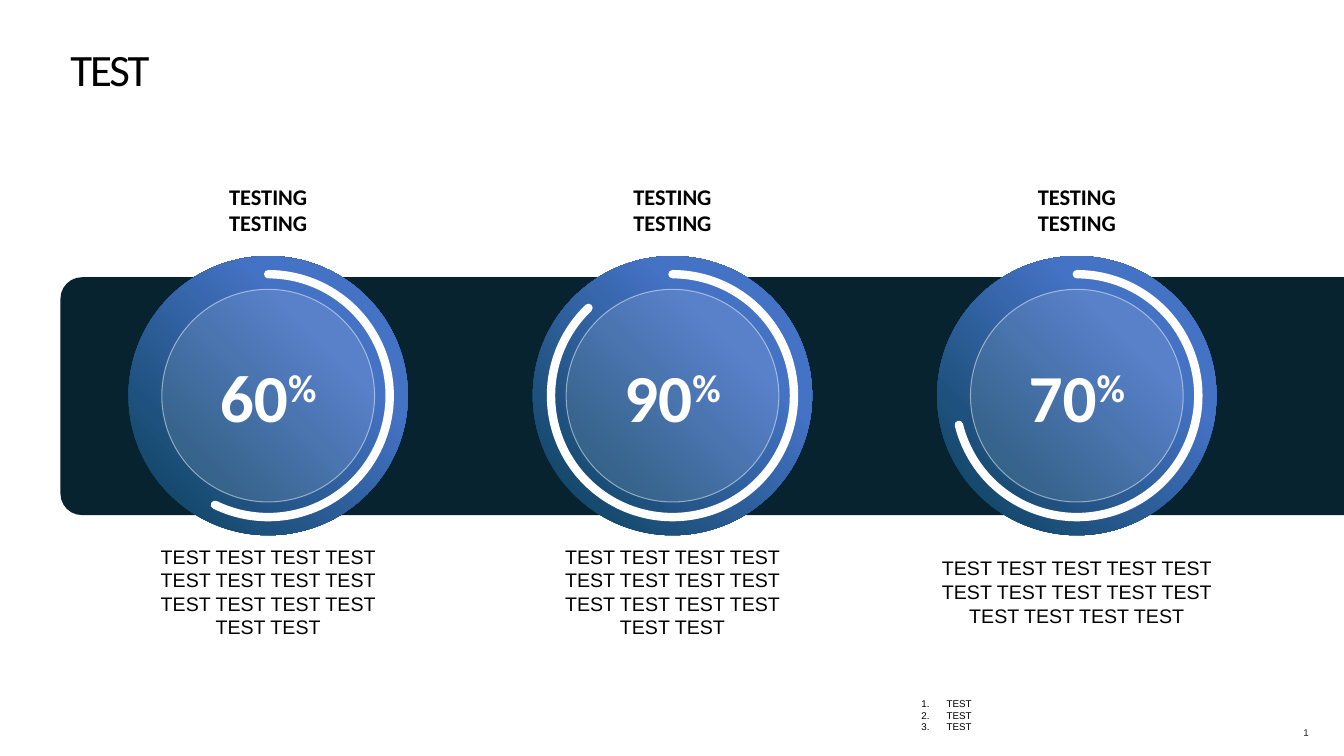
from dataclasses import dataclass

from lxml.etree import SubElement
from pptx import Presentation
from pptx.dml.color import RGBColor
from pptx.enum.shapes import MSO_SHAPE as Preset
from pptx.enum.text import MSO_ANCHOR as Anchor, PP_ALIGN as Align
from pptx.oxml.ns import qn
from pptx.util import Inches, Pt


@dataclass(frozen=True)
class Theme:
    """Colours, fonts and type sizes of the slide."""
    ink: str = "000000"
    page_ink: str = "262626"
    white: str = "FFFFFF"
    band: str = "072330"
    dial_dark: str = "124667"
    dial_light: str = "4472C4"
    display: str = "Calibri"
    body: str = "Arial"
    title_size: int = 32
    value_size: int = 48
    heading_size: int = 16
    body_size: int = 14
    note_size: int = 7


@dataclass(frozen=True)
class Metric:
    """One dial with its heading, value, arc end in degrees and description."""
    heading: tuple
    value: str
    arc_end: float
    description: str
    description_width: float


THEME = Theme()
HEADING = ("TESTING", "TESTING")
DESCRIPTION = " ".join(["TEST"] * 14)
METRICS = (
    Metric(HEADING, "60", 116, DESCRIPTION, 2.5),
    Metric(HEADING, "90", 226.26, DESCRIPTION, 2.5),
    Metric(HEADING, "70", 166.1, DESCRIPTION, 3.05),
)


def rgb(colour):
    """Turn a hex colour into a python-pptx colour."""
    return RGBColor.from_string(colour)


def set_alpha(fill, percent):
    """Make a solid fill partly transparent."""
    colour = fill._xPr.find(qn("a:solidFill"))[0]
    SubElement(colour, qn("a:alpha"), val=str(percent * 1000))


def style(paragraph, face, size, colour, bold=False, align=Align.LEFT):
    """Set the font and alignment of a paragraph."""
    paragraph.alignment = align
    font = paragraph.font
    font.name, font.size, font.bold = face, Pt(size), bold
    font.color.rgb = rgb(colour)


def add_text(slide, box, lines, face, size, colour=THEME.ink, bold=False,
             align=Align.LEFT, anchor=Anchor.TOP):
    """Add a text box with one paragraph per line and return its paragraphs."""
    frame = slide.shapes.add_textbox(*map(Inches, box)).text_frame
    frame.word_wrap = True
    frame.vertical_anchor = anchor
    frame.text = "\n".join(lines)
    for paragraph in frame.paragraphs:
        style(paragraph, face, size, colour, bold, align)
    return frame.paragraphs


def add_preset(slide, preset, box):
    """Add a preset shape without shadow, fill or line."""
    shape = slide.shapes.add_shape(preset, *map(Inches, box))
    shape.shadow.inherit = False
    shape.fill.background()
    shape.line.fill.background()
    return shape


def add_band(slide, box):
    """Add the dark band, rounded at its left end."""
    left, top, width, height = box
    turned = (left + (width - height) / 2, top + (height - width) / 2, height, width)
    band = add_preset(slide, Preset.ROUND_2_SAME_RECTANGLE, turned)
    band.rotation = 270
    band.adjustments[0] = 0.09
    band.fill.solid()
    band.fill.fore_color.rgb = rgb(THEME.band)


def add_title(slide, box, wording):
    """Add the slide title with tight letter spacing."""
    title, = add_text(slide, box, [wording], THEME.display, THEME.title_size)
    title.line_spacing = 0.8
    title.runs[0].font._rPr.set("spc", "-150")


def add_dial(slide, box, value, arc_end):
    """Add a gradient disc with a progress arc and a percentage."""
    left, top, size, _ = box

    def inset(gap):
        return left + gap, top + gap, size - 2 * gap, size - 2 * gap

    disc = add_preset(slide, Preset.ROUNDED_RECTANGLE, box)
    disc.adjustments[0] = 0.5
    disc.fill.gradient()
    disc.fill.gradient_angle = 45
    stops = ((0.11, THEME.dial_dark), (0.7, THEME.dial_light))
    for stop, (position, colour) in zip(disc.fill.gradient_stops, stops):
        stop.position = position
        stop.color.rgb = rgb(colour)

    face = add_preset(slide, Preset.ROUNDED_RECTANGLE, inset(0.33))
    face.adjustments[0] = 0.5
    face.line.width = Pt(0.75)
    for fill, opacity in ((face.fill, 11), (face.line.fill, 47)):
        fill.solid()
        fill.fore_color.rgb = rgb(THEME.white)
        set_alpha(fill, opacity)
    face.text_frame.vertical_anchor = Anchor.MIDDLE
    figure = face.text_frame.paragraphs[0]
    figure.add_run().text = value
    percent = figure.add_run()
    percent.text = "%"
    percent.font._rPr.set("baseline", "30000")
    style(figure, THEME.display, THEME.value_size, THEME.white, True, Align.CENTER)

    arc = add_preset(slide, Preset.ARC, inset(0.18))
    for index, degrees in enumerate((270, arc_end)):
        arc.adjustments[index] = degrees * 0.6
    arc.line.width = Pt(6)
    arc.line.color.rgb = rgb(THEME.white)
    arc.line._ln.set("cap", "rnd")


def add_metric(slide, box, metric):
    """Add a column: heading, dial and description around one centre line."""
    left, top, width, _ = box
    centre = left + width / 2
    dial = 2.77
    add_text(slide, (left, top, width, 0.54), metric.heading, THEME.display,
             THEME.heading_size, bold=True, align=Align.CENTER, anchor=Anchor.MIDDLE)
    add_dial(slide, (centre - dial / 2, top + 0.73, dial, dial),
             metric.value, metric.arc_end)
    add_text(slide, (centre - metric.description_width / 2, top + 3.54,
                     metric.description_width, 1.04),
             [metric.description], THEME.body, THEME.body_size,
             align=Align.CENTER, anchor=Anchor.MIDDLE)


def add_footnotes(slide, box, notes):
    """Add the numbered footnotes."""
    indent = Inches(0.25)
    for note in add_text(slide, box, notes, THEME.body, THEME.note_size):
        properties = note._p.get_or_add_pPr()
        properties.set("marL", str(indent))
        properties.set("indent", str(-indent))
        numbering = SubElement(properties, qn("a:buAutoNum"), type="arabicPeriod")
        properties.insert(0, numbering)


def add_page_number(slide, box):
    """Add the page number."""
    add_text(slide, box, ["1"], THEME.body, THEME.note_size, THEME.page_ink,
             align=Align.RIGHT, anchor=Anchor.MIDDLE)


def main():
    """Build the slide and save it."""
    deck = Presentation()
    deck.slide_width, deck.slide_height = Inches(13.33), Inches(7.5)
    slide = deck.slides.add_slide(deck.slide_layouts[6])
    add_band(slide, (0.6, 2.75, 12.73, 2.36))
    add_title(slide, (0.6, 0.47, 11.81, 0.54), "TEST")
    column_width, pitch = 3.42, 4.01
    for index, metric in enumerate(METRICS):
        add_metric(slide, (0.95 + index * pitch, 1.81, column_width, 4.58), metric)
    add_footnotes(slide, (9.04, 6.87, 3.71, 0.45), ["TEST"] * 3)
    add_page_number(slide, (12.54, 7.07, 0.54, 0.4))
    deck.save("out.pptx")


if __name__ == "__main__":
    main()
